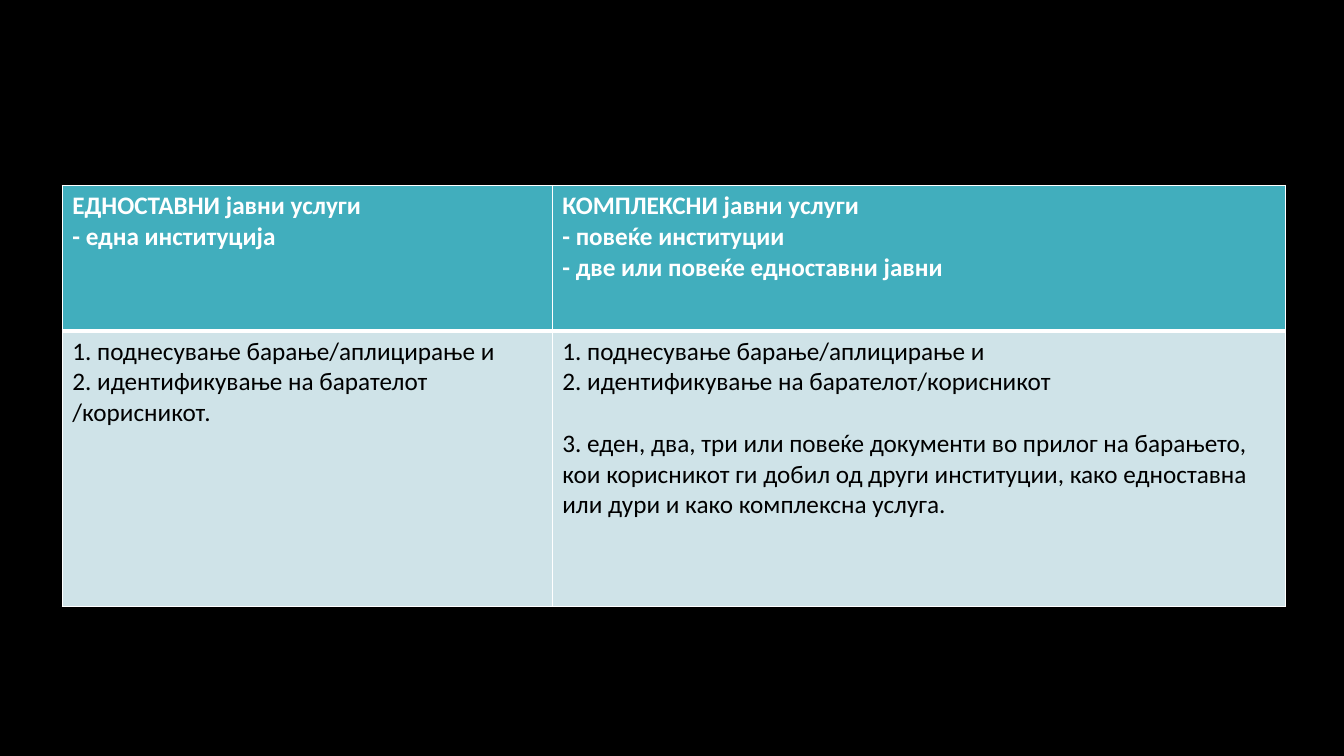
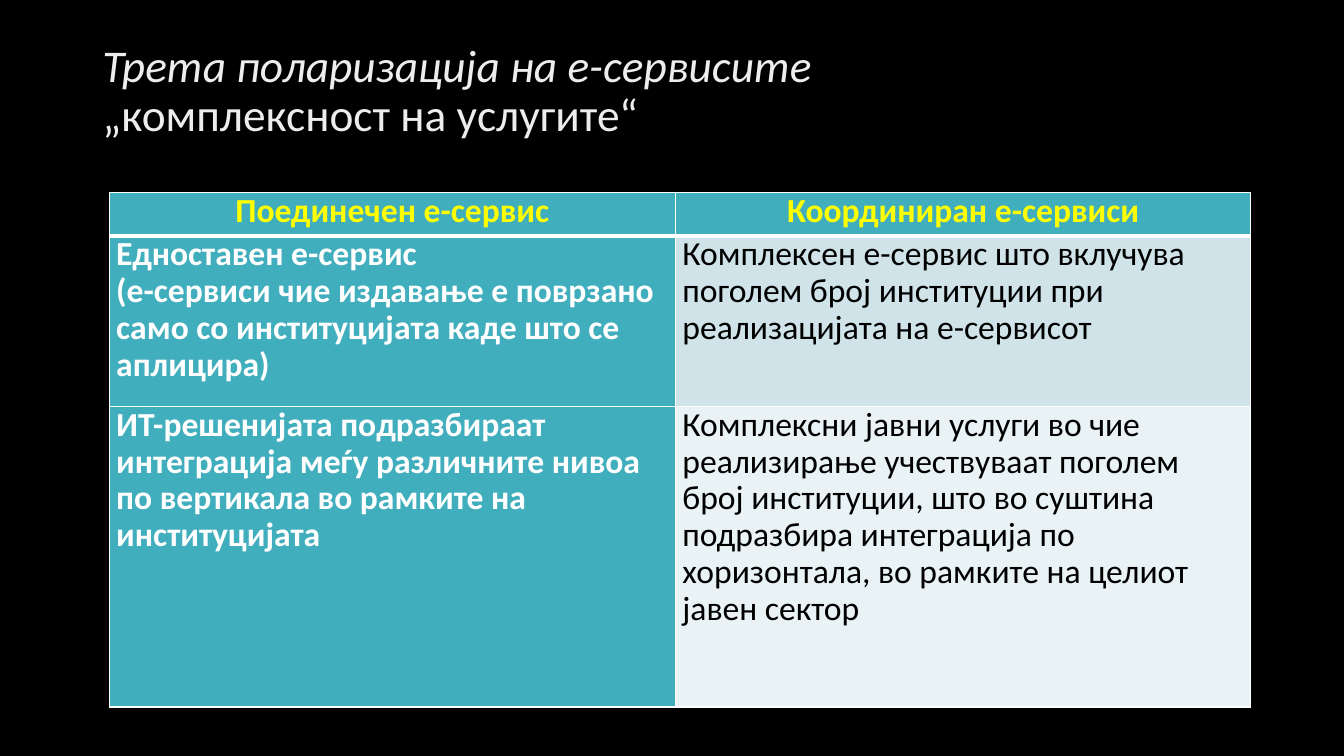
from dataclasses import dataclass

from lxml.etree import SubElement
from pptx import Presentation
from pptx.dml.color import RGBColor
from pptx.enum.text import MSO_ANCHOR as Anchor, MSO_AUTO_SIZE as AutoSize, PP_ALIGN as Align
from pptx.oxml.ns import qn
from pptx.util import Pt

FONT = "Calibri"
BLACK, WHITE, YELLOW = "000000", "FFFFFF", "FFFF00"
TEAL, PALE, PALEST = "41AEBD", "CFE3E8", "E9F2F4"
TITLE_COLOUR = "EDEDED"
TITLE_ONLY, BLANK = 5, 6


@dataclass
class Cell:
    lines: list[str]
    fill: str = TEAL
    colour: str = WHITE
    bold: bool = True
    align: Align = Align.LEFT
    gap_line: int = -1  # index of the line set apart by a gap


@dataclass
class Grid:
    left: float
    top: float
    columns: list[float]
    rows: list[float]
    cells: list[list[Cell]]
    size: float
    inset_x: float = 7.2
    inset_y: float = 3.6
    spacing: float = 1.0


def rgb(colour: str) -> RGBColor:
    return RGBColor.from_string(colour)


def add_span(para, text: str, size: float, colour: str, bold=False, italic=False) -> None:
    span = para.add_run()
    span.text = text
    font = span.font
    font.name, font.size = FONT, Pt(size)
    font.bold, font.italic = bold, italic
    font.color.rgb = rgb(colour)


def add_borders(box, row: int) -> None:
    """White lines around a cell, thick between header and body."""
    properties = box._tc.get_or_add_tcPr()
    widths = {"L": 1, "R": 1, "T": 3 if row == 1 else 1, "B": 3 if row == 0 else 1}
    for index, (side, width) in enumerate(widths.items()):
        line = SubElement(properties, qn(f"a:ln{side}"), w=str(Pt(width)))
        fill = SubElement(line, qn("a:solidFill"))
        SubElement(fill, qn("a:srgbClr"), val=WHITE)
        properties.insert(index, line)


def fill_cell(box, cell: Cell, grid: Grid, row: int) -> None:
    box.fill.solid()
    box.fill.fore_color.rgb = rgb(cell.fill)
    box.margin_left = box.margin_right = Pt(grid.inset_x)
    box.margin_top = box.margin_bottom = Pt(grid.inset_y)
    add_borders(box, row)
    frame = box.text_frame
    for index, text in enumerate(cell.lines):
        para = frame.add_paragraph() if index else frame.paragraphs[0]
        para.alignment = cell.align
        para.line_spacing = grid.spacing
        if index == cell.gap_line:
            para.space_before = Pt(22)
        add_span(para, text, grid.size, cell.colour, cell.bold)


def add_grid(page, grid: Grid) -> None:
    table = page.shapes.add_table(
        len(grid.rows), len(grid.columns), Pt(grid.left), Pt(grid.top),
        Pt(sum(grid.columns)), Pt(sum(grid.rows))).table
    for column, width in zip(table.columns, grid.columns):
        column.width = Pt(width)
    for row, height in zip(table.rows, grid.rows):
        row.height = Pt(height)
    for y, cells in enumerate(grid.cells):
        for x, cell in enumerate(cells):
            fill_cell(table.cell(y, x), cell, grid, y)


def set_title(page, lines: list[tuple[str, bool]]) -> None:
    """Title lines, each with its italic flag."""
    title = page.shapes.title
    title.left, title.top, title.width, title.height = Pt(66), Pt(29), Pt(828), Pt(74)
    frame = title.text_frame
    frame.word_wrap, frame.auto_size = True, AutoSize.NONE
    frame.vertical_anchor = Anchor.MIDDLE
    para = frame.paragraphs[0]
    para.alignment, para.line_spacing = Align.LEFT, 0.9
    for index, (text, italic) in enumerate(lines):
        if index:
            para.add_line_break()
        add_span(para, text, 32.4, TITLE_COLOUR, italic=italic)


SERVICES = Grid(
    44.5, 132.5, [350, 523.5], [104, 196.5], size=18, cells=[
        [Cell(["ЕДНОСТАВНИ јавни услуги", "- една институција"]),
         Cell(["КОМПЛЕКСНИ јавни услуги", "- повеќе институции",
               "- две или повеќе едноставни јавни"])],
        [Cell(["1. поднесување барање/аплицирање и",
               "2. идентификување на барателот /корисникот."], PALE, BLACK, False),
         Cell(["1. поднесување барање/аплицирање и",
               "2. идентификување на барателот/корисникот",
               "3. еден, два, три или повеќе документи во прилог на барањето, кои корисникот "
               "ги добил од други институции, како едноставна или дури и како комплексна "
               "услуга."], PALE, BLACK, False, gap_line=2)],
    ])

E_SERVICES = Grid(
    78, 137.5, [404.5, 411], [31, 122, 214.5], size=24, inset_x=5, inset_y=0, spacing=0.9,
    cells=[
        [Cell([heading], colour=YELLOW, align=Align.CENTER)
         for heading in ("Поединечен е-сервис", "Координиран е-сервиси")],
        [Cell(["Едноставен е-сервис",
               "(е-сервиси чие издавање е поврзано само со институцијата каде што се "
               "аплицира)"]),
         Cell(["Комплексен е-сервис што вклучува поголем број институции при "
               "реализацијата на е-сервисот"], PALE, BLACK, False)],
        [Cell(["ИТ-решенијата подразбираат интеграција меѓу различните нивоа по "
               "вертикала во рамките на институцијата"]),
         Cell(["Комплексни јавни услуги во чие реализирање учествуваат поголем број "
               "институции, што во суштина подразбира интеграција по хоризонтала, во "
               "рамките на целиот јавен сектор"], PALEST, BLACK, False)],
    ])


def main() -> None:
    deck = Presentation()
    deck.slide_width, deck.slide_height = Pt(960), Pt(540)
    # Shared black background
    backdrop = deck.slide_master.background.fill
    backdrop.solid()
    backdrop.fore_color.rgb = rgb(BLACK)

    # Simple and complex services
    page = deck.slides.add_slide(deck.slide_layouts[BLANK])
    add_grid(page, SERVICES)

    # Single and coordinated e-services
    page = deck.slides.add_slide(deck.slide_layouts[TITLE_ONLY])
    set_title(page, [("Трета поларизација на е-сервисите", True),
                     ("„комплексност на услугите“", False)])
    add_grid(page, E_SERVICES)

    deck.save("out.pptx")


if __name__ == "__main__":
    main()
